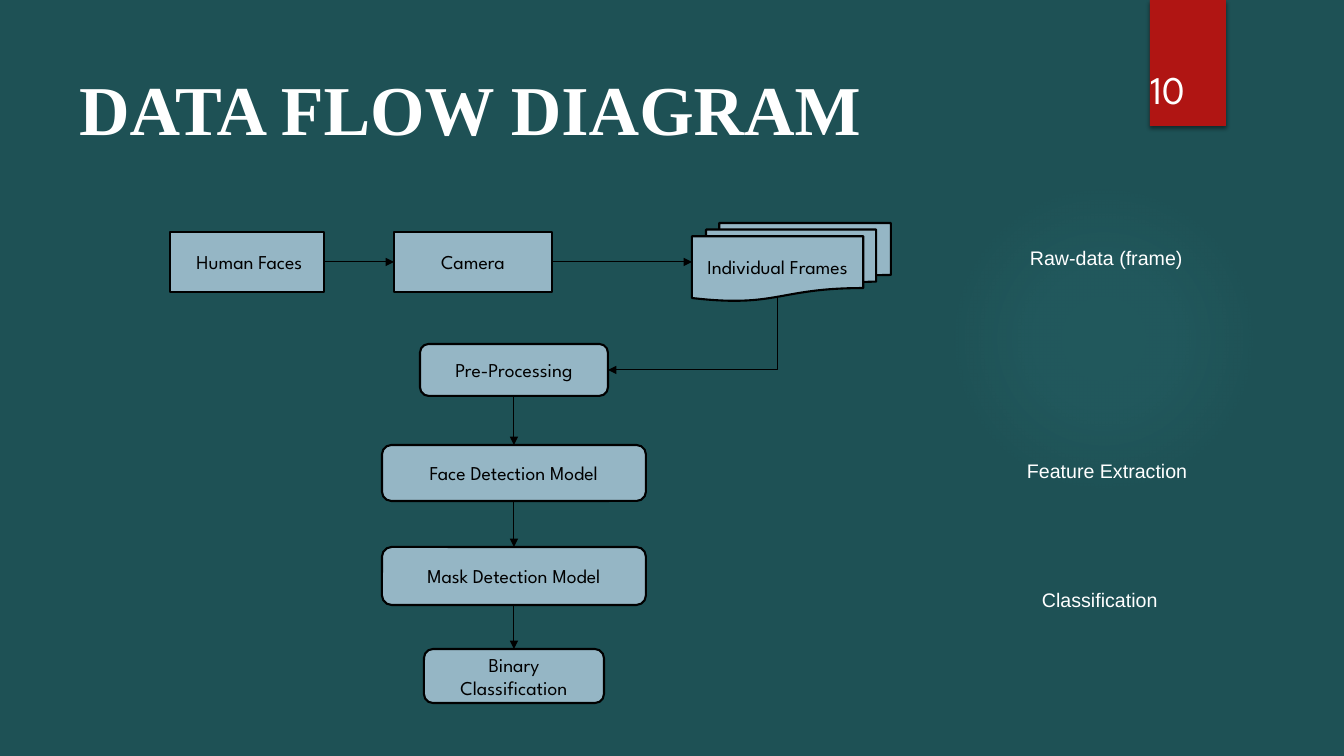
from dataclasses import dataclass

from pptx import Presentation
from pptx.dml.color import RGBColor as RGB
from pptx.enum.shapes import MSO_CONNECTOR as CONN, MSO_SHAPE as SHAPE
from pptx.enum.text import MSO_ANCHOR as ANCHOR, MSO_AUTO_SIZE as FIT, PP_ALIGN as ALIGN
from pptx.oxml import parse_xml
from pptx.oxml.ns import nsdecls, qn
from pptx.util import Emu, Pt

SLIDE_W, SLIDE_H = 1344, 756
EMU_PER_PX = 12192000 / SLIDE_W
TOP, LEFT, BOTTOM, RIGHT = range(4)  # connection sites


@dataclass(frozen=True)
class Theme:
    background: str = "1E5155"
    glow: str = "50B9C1"
    tab: str = "B01513"
    box: str = "95B6C5"
    ink: str = "000000"
    light: str = "FFFFFF"
    box_font: str = "League Spartan"
    label_font: str = "Arial"
    title_font: str = "Times New Roman"
    body_size: int = 14
    number_size: int = 28
    title_size: int = 50
    box_line: float = 1.5
    arrow_line: float = 0.75


THEME = Theme()


def px(*lengths):
    return [Emu(round(n * EMU_PER_PX)) for n in lengths]


def write(tf, text, font=THEME.box_font, size=THEME.body_size, color=THEME.ink,
          bold=False, align=ALIGN.LEFT, anchor=ANCHOR.TOP, fit=FIT.NONE):
    tf.word_wrap = True
    tf.auto_size = fit
    tf.vertical_anchor = anchor
    p = tf.paragraphs[0]
    p.alignment = align
    r = p.add_run()
    r.text = text
    r.font.name, r.font.size, r.font.bold = font, Pt(size), bold
    r.font.color.rgb = RGB.from_string(color)


def add_plain(slide, kind, at, fill=None, line=None):
    sp = slide.shapes.add_shape(kind, *px(*at))
    sp.shadow.inherit = False
    if fill:
        sp.fill.solid()
        sp.fill.fore_color.rgb = RGB.from_string(fill)
    if line:
        sp.line.color.rgb = RGB.from_string(line)
        sp.line.width = Pt(THEME.box_line)
    else:
        sp.line.fill.background()
    return sp


def add_box(slide, kind, at, text):
    sp = add_plain(slide, kind, at, THEME.box, THEME.ink)
    write(sp.text_frame, text, align=ALIGN.CENTER, anchor=ANCHOR.MIDDLE)
    return sp


def add_label(slide, at, text, **fmt):
    tb = slide.shapes.add_textbox(*px(*at))
    write(tb.text_frame, text, color=THEME.light, **fmt)


def add_glow(slide, at):
    sp = add_plain(slide, SHAPE.OVAL, at)
    stops = "".join(
        f'<a:gs pos="{pos}000"><a:srgbClr val="{THEME.glow}">'
        f'<a:alpha val="{alpha}000"/></a:srgbClr></a:gs>'
        for pos, alpha in ((0, 7), (36, 6), (69, 0)))
    sp.element.spPr.find(qn("a:prstGeom")).addnext(parse_xml(
        f'<a:gradFill {nsdecls("a")}><a:gsLst>{stops}</a:gsLst><a:path path="circle">'
        '<a:fillToRect l="50000" t="50000" r="50000" b="50000"/></a:path></a:gradFill>'))


def add_tab(slide, at):
    sp = add_plain(slide, SHAPE.RECTANGLE, at, THEME.tab)
    sp.element.spPr.find(qn("a:effectLst")).append(parse_xml(
        f'<a:outerShdw {nsdecls("a")} blurRad="{Pt(3)}" dist="{Pt(2)}" dir="5400000">'
        f'<a:srgbClr val="{THEME.ink}"><a:alpha val="45000"/></a:srgbClr></a:outerShdw>'))


def add_arrow(slide, kind, start=(0, 0), end=(0, 0)):
    cxn = slide.shapes.add_connector(kind, *px(*start, *end))
    cxn.line.color.rgb = RGB.from_string(THEME.ink)
    cxn.line.width = Pt(THEME.arrow_line)
    cxn.line._get_or_add_ln().append(parse_xml(
        f'<a:tailEnd {nsdecls("a")} type="triangle"/>'))
    cxn.element.spPr.append(parse_xml(f'<a:effectLst {nsdecls("a")}/>'))
    return cxn


def join(slide, source, source_site, target, target_site):
    cxn = add_arrow(slide, CONN.STRAIGHT)
    cxn.begin_connect(source, source_site)
    cxn.end_connect(target, target_site)


def add_corner_arrow(slide, start, end):
    """Runs down from start, then left to end: a quarter-turned one-bend connector."""
    (x1, y1), (x2, y2) = start, end
    run, drop = x1 - x2, y2 - y1
    left, top = (x1 + x2 - drop) / 2, (y1 + y2 - run) / 2
    cxn = add_arrow(slide, CONN.ELBOW, (left, top), (left + drop, top + run))
    sp_pr = cxn.element.spPr
    sp_pr.find(qn("a:xfrm")).set("rot", "5400000")
    sp_pr.find(qn("a:prstGeom")).set("prst", "bentConnector2")


def main():
    prs = Presentation()
    prs.slide_width, prs.slide_height = px(SLIDE_W, SLIDE_H)
    slide = prs.slides.add_slide(prs.slide_layouts[5])
    slide.background.fill.solid()
    slide.background.fill.fore_color.rgb = RGB.from_string(THEME.background)

    # Backdrop
    add_glow(slide, (949, 184, 310, 310))
    add_tab(slide, (1150, 0, 76, 126))

    # Title
    title = slide.shapes.title
    title.left, title.top, title.width, title.height = px(69, 60, 1047, 95)
    write(title.text_frame, "DATA FLOW DIAGRAM", font=THEME.title_font,
          size=THEME.title_size, color=THEME.light, bold=True)

    # Input row
    faces = add_box(slide, SHAPE.RECTANGLE, (170, 232, 154, 60), " Human Faces")
    camera = add_box(slide, SHAPE.RECTANGLE, (394, 232, 158, 60), "Camera")
    frames = add_box(slide, SHAPE.FLOWCHART_MULTIDOCUMENT, (692, 223, 199, 78),
                     "Individual Frames")
    join(slide, faces, RIGHT, camera, LEFT)
    join(slide, camera, RIGHT, frames, LEFT)

    # Processing column, centred on one axis
    axis = 514
    steps = [
        add_box(slide, SHAPE.ROUNDED_RECTANGLE, (axis - w // 2, top, w, h), text)
        for top, w, h, text in (
            (344, 188, 52, "Pre-Processing"),
            (445, 264, 56, "Face Detection Model"),
            (547, 264, 58, "Mask Detection Model"),
            (649, 180, 54, "Binary Classification"),
        )]
    for upper, lower in zip(steps, steps[1:]):
        join(slide, upper, BOTTOM, lower, TOP)
    add_corner_arrow(slide, (778, 298), (608, 370))

    # Stage labels
    for left, top, width, text in (
            (1020, 241, 182, "Raw-data (frame)"),
            (1017, 454, 204, "Feature Extraction"),
            (1032, 583, 187, "Classification")):
        add_label(slide, (left, top, width, 34), text,
                  font=THEME.label_font, fit=FIT.SHAPE_TO_FIT_TEXT)

    # Slide number
    add_label(slide, (1141, 32, 93, 85), "10", size=THEME.number_size,
              anchor=ANCHOR.BOTTOM)

    prs.save("out.pptx")


if __name__ == "__main__":
    main()
